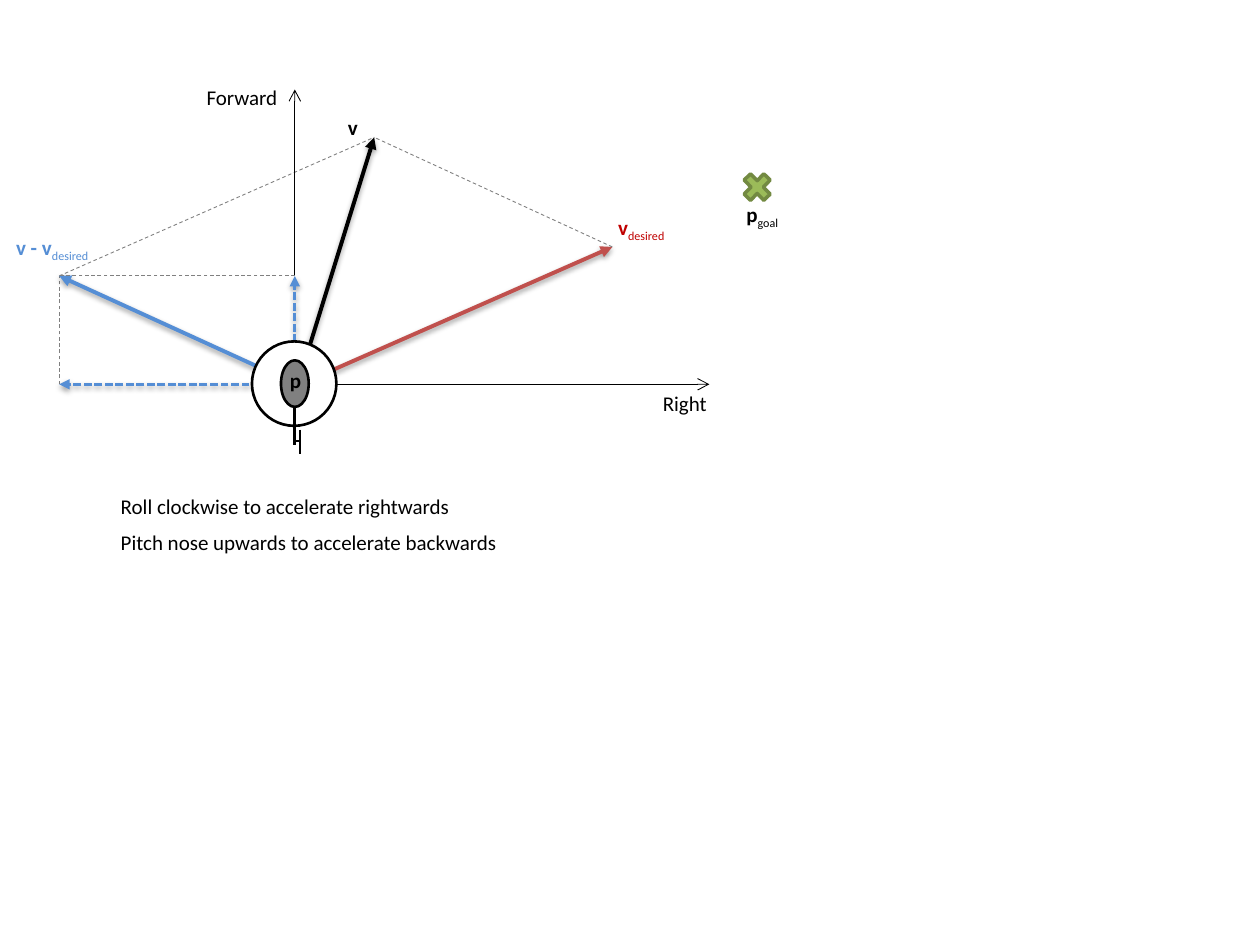
from lxml.etree import SubElement as Sub
from pptx import Presentation as Deck
from pptx.dml.color import RGBColor as Rgb
from pptx.enum.dml import MSO_LINE as Dash
from pptx.enum.shapes import MSO_CONNECTOR as Link, MSO_SHAPE as Kind
from pptx.enum.text import MSO_AUTO_SIZE as Fit, PP_ALIGN as Align
from pptx.oxml.ns import qn
from pptx.util import Inches, Pt

BLACK, GRAY, BLUE, RED = "000000", "808080", "558ED5", "C0504D"


def paint(target, color):
    target.rgb = Rgb.from_string(color)


def write(para, text, size=12, bold=False, color=BLACK, font="Calibri", sub=False):
    run = para.add_run()
    run.text = text
    run.font.size = Pt(size)
    run.font.bold = bold
    run.font.name = font
    paint(run.font.color, color)
    if sub:
        run.font._element.set("baseline", "-25000")


class Sketch:
    def __init__(self, slide):
        self.slide = slide
        self.home = slide.shapes

    def group(self):
        self.home = self.slide.shapes.add_group_shape().shapes

    def ungroup(self):
        self.home = self.slide.shapes

    def shape(self, kind, left, top, width, height, fill, edge=BLACK, weight=1.5):
        form = self.home.add_shape(kind, *map(Inches, (left, top, width, height)))
        form.shadow.inherit = False
        form.fill.solid()
        paint(form.fill.fore_color, fill)
        paint(form.line.color, edge)
        form.line.width = Pt(weight)

    def line(self, start, end, color=BLACK, weight=1.5, dash=None, tip=None, shade=False):
        rule = self.home.add_connector(Link.STRAIGHT, *map(Inches, (*start, *end)))
        paint(rule.line.color, color)
        rule.line.width = Pt(weight)
        if dash:
            rule.line.dash_style = dash
        props = rule._element.spPr
        if tip:
            Sub(props.find(qn("a:ln")), qn("a:tailEnd"), type=tip)
        effect = Sub(props, qn("a:effectLst"))
        if shade:
            drop = Sub(effect, qn("a:outerShdw"), blurRad="40000", dist="20000",
                       dir="5400000", rotWithShape="0")
            tone = Sub(drop, qn("a:srgbClr"), val=BLACK)
            Sub(tone, qn("a:alpha"), val="38000")

    def vector(self, start, end, color, weight=2.25, dash=None):
        self.line(start, end, color, weight, dash, "triangle", True)

    def guide(self, start, end):
        self.line(start, end, GRAY, 0.5, Dash.DASH)

    def axis(self, start, end):
        self.line(start, end, weight=0.5, tip="arrow")

    def label(self, left, top, width, text, sub="", align=Align.CENTER, color=BLACK, bold=False):
        box = self.home.add_textbox(*map(Inches, (left, top, width, 0.3)))
        frame = box.text_frame
        frame.word_wrap = False
        frame.auto_size = Fit.SHAPE_TO_FIT_TEXT
        para = frame.paragraphs[0]
        para.alignment = align
        write(para, text, bold=bold, color=color)
        if sub:
            write(para, sub, color=color, sub=True)


def main():
    deck = Deck()
    deck.slide_width, deck.slide_height = Inches(10), Inches(7.5)
    art = Sketch(deck.slides.add_slide(deck.slide_layouts[6]))

    mid, base = 2.34, 3.05
    core = (2.36, 3.06)
    speed, goal, error = (2.97, 1.09), (4.86, 1.96), (0.47, 2.19)
    rise, side = (mid, error[1]), (error[0], base)

    art.shape(Kind.MATH_MULTIPLY, 5.86, 1.33, 0.3, 0.31, "9BBB59", "738A42", 2)
    art.vector(core, goal, RED)
    art.vector(core, speed, BLACK)
    art.label(2.66, 0.86, 0.28, "v", bold=True)
    art.label(4.78, 1.65, 0.62, "v", "desired", color="C00000", bold=True)
    art.guide(error, speed)
    art.guide(goal, speed)
    art.label(0, 1.81, 0.83, "v - v", "desired", color=BLUE, bold=True)
    art.axis((2.5, base), (5.63, base))
    art.axis(rise, (mid, 0.71))
    art.label(1.53, 0.62, 0.78, "Forward")
    art.label(5.16, 3.05, 0.55, "Right")
    art.vector((mid, base), rise, BLUE, 1.5, Dash.SQUARE_DOT)
    art.guide(side, error)
    art.vector((2.33, 3.04), error, BLUE)
    art.guide(rise, error)
    art.vector((2.23, base), side, BLUE, 1.5, Dash.SQUARE_DOT)

    art.group()
    art.shape(Kind.OVAL, 2, 2.71, 0.67, 0.67, "FFFFFF")
    art.line((mid, 3.38), (mid, 3.53))
    art.line((2.38, 3.41), (2.38, 3.6))
    art.line((mid, 3.5), (2.38, 3.5))
    art.shape(Kind.OVAL, 2.23, 2.86, 0.22, 0.37, GRAY)
    art.line((mid, 3.23), (mid, 3.38))
    art.ungroup()

    art.label(0.86, 3.87, 2.84, "Roll clockwise to accelerate rightwards", align=Align.LEFT)
    art.label(0.86, 4.15, 3.22, "Pitch nose upwards to accelerate backwards", align=Align.LEFT)
    art.label(5.79, 1.55, 0.52, "p", "goal", bold=True)
    art.label(2.19, 2.87, 0.31, "p", bold=True)
    deck.save("out.pptx")


if __name__ == "__main__":
    main()
